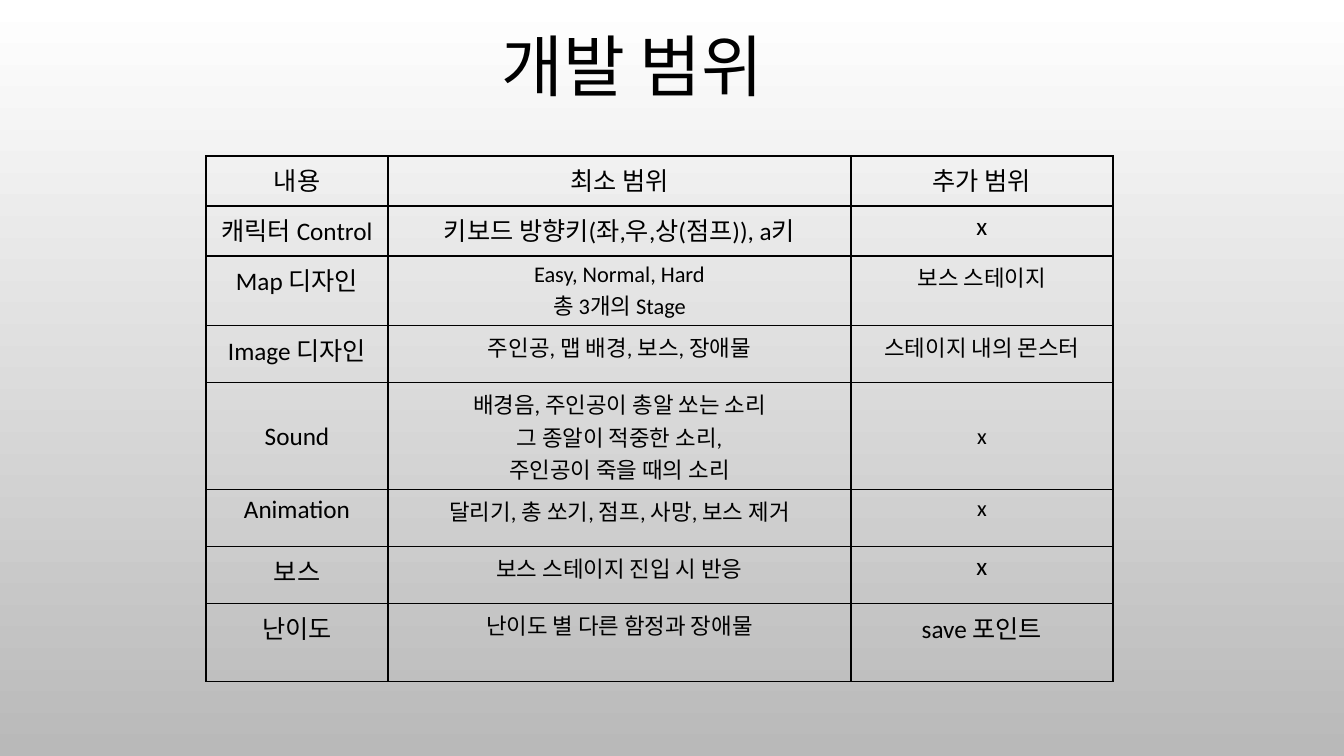
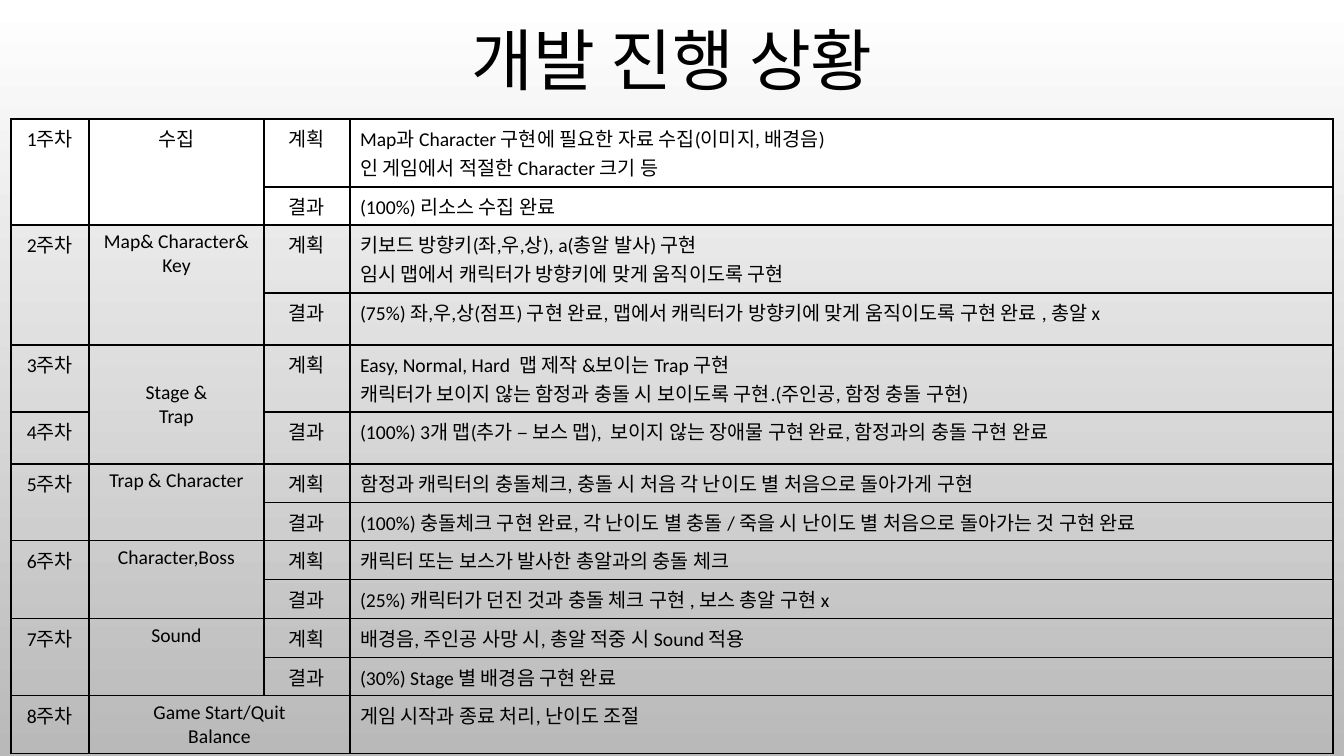
from lxml import etree
from pptx import Presentation
from pptx.dml.color import RGBColor
from pptx.enum.text import MSO_ANCHOR, PP_ALIGN
from pptx.oxml.ns import qn
from pptx.util import Pt

BLACK = RGBColor(0x00, 0x00, 0x00)
WHITE = RGBColor(0xFF, 0xFF, 0xFF)
GRAY = RGBColor(0xB9, 0xB9, 0xB9)
FONT = "Calibri"
LEFT, CENTER = PP_ALIGN.LEFT, PP_ALIGN.CENTER
TOP, MIDDLE, BOTTOM = MSO_ANCHOR.TOP, MSO_ANCHOR.MIDDLE, MSO_ANCHOR.BOTTOM
SCALE = 12192000 / 1344  # EMU in one px
UP, BACK = "^", "<"  # cell joins the one above, or the one to its left

# Table contents
SCOPE = [
    ["내용", "최소 범위", "추가 범위"],
    ["캐릭터 Control", "키보드 방향키(좌,우,상(점프)), a키", "x"],
    ["Map 디자인", "Easy, Normal, Hard\n총 3개의 Stage", "보스 스테이지"],
    ["Image 디자인", "주인공, 맵 배경, 보스, 장애물", "스테이지 내의 몬스터"],
    ["Sound", "배경음, 주인공이 총알 쏘는 소리\n그 종알이 적중한 소리,\n주인공이 죽을 때의 소리", "x"],
    ["Animation", "달리기, 총 쏘기, 점프, 사망, 보스 제거", "x"],
    ["보스", "보스 스테이지 진입 시 반응", "x"],
    ["난이도", "난이도 별 다른 함정과 장애물", "save 포인트"],
]
WEEKS = [
    ["1주차", "수집", "계획",
     "Map과 Character 구현에 필요한 자료 수집(이미지, 배경음)\n인 게임에서 적절한 Character 크기 등"],
    [UP, UP, "결과", "(100%) 리소스 수집 완료"],
    ["2주차", "Map& Character&\nKey", "계획",
     "키보드 방향키(좌,우,상), a(총알 발사) 구현\n임시 맵에서 캐릭터가 방향키에 맞게 움직이도록 구현"],
    [UP, UP, "결과",
     "(75%) 좌,우,상(점프) 구현 완료, 맵에서 캐릭터가 방향키에 맞게 움직이도록 구현 완료 , 총알 x"],
    ["3주차", "Stage &\nTrap", "계획",
     "Easy, Normal, Hard  맵 제작 &보이는 Trap 구현\n"
     "캐릭터가 보이지 않는 함정과 충돌 시 보이도록 구현.(주인공, 함정 충돌 구현)"],
    ["4주차", UP, "결과",
     "(100%) 3개 맵(추가 – 보스 맵),  보이지 않는 장애물 구현 완료, 함정과의 충돌 구현 완료"],
    ["5주차", "Trap & Character", "계획",
     "함정과 캐릭터의 충돌체크, 충돌 시 처음 각 난이도 별 처음으로 돌아가게 구현"],
    [UP, UP, "결과",
     "(100%) 충돌체크 구현 완료, 각 난이도 별 충돌 / 죽을 시 난이도 별 처음으로 돌아가는 것 구현 완료"],
    ["6주차", "Character,Boss", "계획", "캐릭터 또는 보스가 발사한 총알과의 충돌 체크"],
    [UP, UP, "결과", "(25%) 캐릭터가 던진 것과 충돌 체크 구현 , 보스 총알 구현 x"],
    ["7주차", "Sound", "계획", "배경음, 주인공 사망 시, 총알 적중 시 Sound 적용"],
    [UP, UP, "결과", "(30%) Stage 별 배경음 구현 완료"],
    ["8주차", "Game Start/Quit\nBalance", BACK, "게임 시작과 종료 처리, 난이도 조절"],
]

# Title, title place, table place, column widths, row heights, contents
PAGES = [
    ("개발 범위", (179, 15), (206, 156), [182, 463, 262],
     [50, 50, 70, 57, 107, 57, 57, 78], SCOPE),
    ("개발 진행 상황", (219, 9), (11, 119), [78, 175, 86, 983],
     [68, 38, 68, 52, 67, 52, 39, 38, 39, 39, 39, 38, 58], WEEKS),
]


def px(num):
    return round(num * SCALE)


def put(frame, text, size, align):
    frame.text = text
    for para in frame.paragraphs:
        para.alignment = align
        for run in para.runs:
            run.font.name = FONT
            run.font.size = Pt(size)
            run.font.color.rgb = BLACK


prs = Presentation()
prs.slide_width, prs.slide_height = px(1344), px(756)

# Shared background
back = prs.slide_master.background.fill
back.gradient()
back.gradient_angle = 270
for stop, color in zip(back.gradient_stops, (WHITE, GRAY)):
    stop.color.rgb = color

for title, spot, place, cols, rows, data in PAGES:
    slide = prs.slides.add_slide(prs.slide_layouts[6])

    # Title
    frame = slide.shapes.add_textbox(px(spot[0]), px(spot[1]), px(907), px(96)).text_frame
    frame.word_wrap = True
    frame.vertical_anchor = BOTTOM
    put(frame, title, 48, CENTER)
    frame.paragraphs[0].line_spacing = 0.9

    # Table grid
    table = slide.shapes.add_table(
        len(rows), len(cols), px(place[0]), px(place[1]), px(sum(cols)), px(sum(rows))).table
    table.first_row = table.horz_banding = False
    for col, width in zip(table.columns, cols):
        col.width = px(width)
    for row, height in zip(table.rows, rows):
        row.height = px(height)

    # Cells
    for r, line in enumerate(data):
        for c, text in enumerate(line):
            cell = table.cell(r, c)
            props = cell._tc.get_or_add_tcPr()
            for side in ("a:lnL", "a:lnR", "a:lnT", "a:lnB"):
                edge = etree.SubElement(props, qn(side), w=str(Pt(1)))
                fill = etree.SubElement(edge, qn("a:solidFill"))
                etree.SubElement(fill, qn("a:srgbClr"), val=str(BLACK))
            if data is WEEKS and r < 2:
                cell.fill.solid()
                cell.fill.fore_color.rgb = WHITE
            else:
                cell.fill.background()
            if text == UP:
                table.cell(r - 1, c).merge(cell)
                continue
            if text == BACK:
                table.cell(r, c - 1).merge(cell)
                continue
            if data is WEEKS:
                size = 14
                mid = text.startswith("Stage")
            else:
                size = 18 if c == 0 or r < 2 or (c == 2 and r > 5) else 16
                mid = line[0] == "Sound"
            put(cell.text_frame, text, size, LEFT if c == 3 else CENTER)
            cell.vertical_anchor = MIDDLE if mid else TOP

prs.save("out.pptx")
